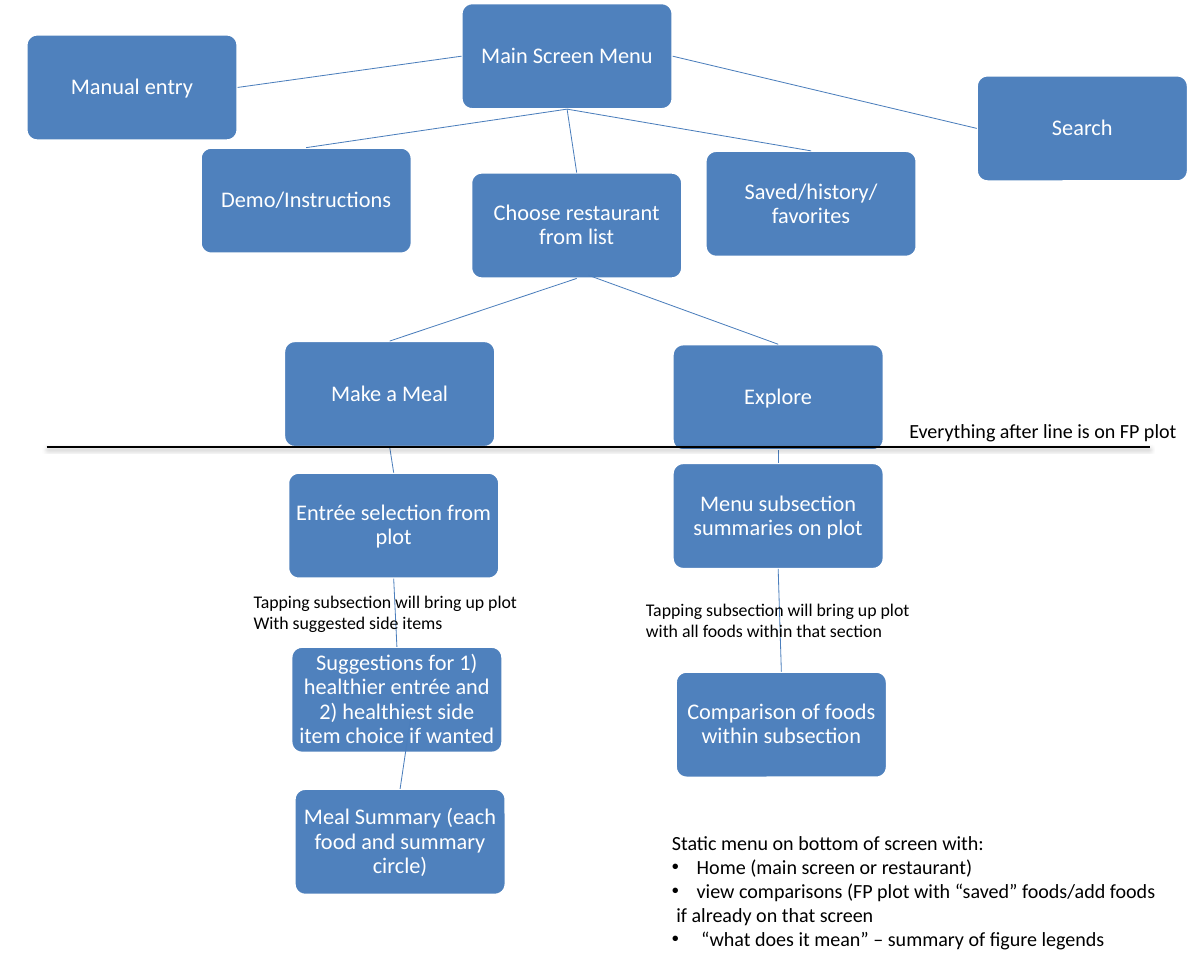
"""Builds the screen flow chart of a food app."""
from lxml import etree
from pptx import Presentation
from pptx.dml.color import RGBColor
from pptx.enum.shapes import MSO_CONNECTOR, MSO_SHAPE
from pptx.enum.text import MSO_ANCHOR, MSO_AUTO_SIZE, PP_ALIGN
from pptx.oxml.ns import qn
from pptx.util import Emu, Pt

ROUND = MSO_SHAPE.ROUNDED_RECTANGLE
STRAIGHT = MSO_CONNECTOR.STRAIGHT
MIDDLE, TOP = MSO_ANCHOR.MIDDLE, MSO_ANCHOR.TOP
CENTER, LEFT = PP_ALIGN.CENTER, PP_ALIGN.LEFT
NO_FIT = MSO_AUTO_SIZE.NONE
UP, WEST, DOWN, EAST = range(4)
SCALE = 9144
WIDTH, HEIGHT = 263, 132
BLUE, LINK, WHITE, BLACK = "4F81BD", "4B7EBC", "FFFFFF", "000000"

BOXES = {
    "main": (575, 4, "Main Screen Menu"),
    "demo": (250, 184, "Demo/Instructions"),
    "choose": (587, 215, "Choose restaurant from list"),
    "saved": (879, 188, "Saved/history/favorites"),
    "menu": (838, 577, "Menu subsection summaries on plot"),
    "make": (354, 425, "Make a Meal"),
    "explore": (838, 429, "Explore"),
    "compare": (842, 837, "Comparison of foods within subsection"),
    "entree": (359, 589, "Entrée selection from plot"),
    "suggest": (363, 806, "Suggestions for 1) healthier entrée and "
                          "2) healthiest side item choice if wanted"),
    "meal": (367, 983, "Meal Summary (each food and summary circle)"),
    "search": (1217, 94, "Search"),
    "manual": (33, 43, "Manual entry"),
}
LINKS = [
    ("choose", UP, "main", DOWN),
    ("demo", UP, "main", DOWN),
    ("saved", UP, "main", DOWN),
    ("search", WEST, "main", EAST),
    ("manual", EAST, "main", WEST),
    ("make", UP, "choose", DOWN),
    ("entree", UP, "make", DOWN),
    ("suggest", UP, "entree", DOWN),
    ("menu", UP, "explore", DOWN),
    ("compare", UP, "menu", DOWN),
]
LOOSE = [("explore", UP, 733, 343), ("meal", UP, 512, 892)]
NOTES = [
    (795, 741, 357, 64, 16, ["Tapping subsection will bring up plot",
                             "with all foods within that section"]),
    (306, 731, 352, 64, 16, ["Tapping subsection will bring up plot",
                             "With suggested side items"]),
    (1123, 516, 358, 40, 18, ["Everything after line is on FP plot"]),
]
STATIC = [
    (False, "Static menu on bottom of screen with:"),
    (True, "Home (main screen or restaurant)"),
    (True, "view comparisons (FP plot with “saved” foods/add foods"),
    (False, " if already on that screen"),
    (True, " “what does it mean” – summary of figure legends"),
]


def px(*nums):
    """Turn px lengths into EMU."""
    return [Emu(n * SCALE) for n in nums]


def rgb(code):
    """Turn a hex string into a colour."""
    return RGBColor.from_string(code)


def style(para, size, color):
    """Set the font of a whole paragraph."""
    para.font.name = "Calibri"
    para.font.size = Pt(size)
    para.font.color.rgb = rgb(color)


def add_box(slide, x, y, text):
    """Add one rounded screen box."""
    box = slide.shapes.add_shape(ROUND, *px(x, y, WIDTH, HEIGHT))
    box.adjustments[0] = 0.1
    box.shadow.inherit = False
    box.fill.solid()
    box.fill.fore_color.rgb = rgb(BLUE)
    box.line.color.rgb = rgb(WHITE)
    box.line.width = Pt(2)
    frame = box.text_frame
    frame.word_wrap = True
    frame.vertical_anchor = MIDDLE
    (frame.margin_left, frame.margin_top,
     frame.margin_right, frame.margin_bottom) = px(3, 3, 3, 3)
    para = frame.paragraphs[0]
    para.text = text
    para.alignment = CENTER
    para.line_spacing = 0.9
    style(para, 20, WHITE)
    return box


def add_line(slide, ends, color, width):
    """Add a straight line and return it with its empty effect list."""
    line = slide.shapes.add_connector(STRAIGHT, *px(*ends))
    line.line.color.rgb = rgb(color)
    line.line.width = Pt(width)
    effect = etree.SubElement(line._element.spPr, qn("a:effectLst"))
    return line, effect


def add_rule(slide):
    """Add the shadowed line that splits the chart."""
    effect = add_line(slide, (58, 557, 1433, 557), BLACK, 2)[1]
    shade = etree.SubElement(
        effect, qn("a:outerShdw"), blurRad=str(Pt(3.1)),
        dist=str(Pt(1.6)), dir="5400000", rotWithShape="0")
    tint = etree.SubElement(shade, qn("a:srgbClr"), val=BLACK)
    etree.SubElement(tint, qn("a:alpha"), val="38000")


def add_note(slide, x, y, w, h, size, lines):
    """Add a plain text note."""
    frame = slide.shapes.add_textbox(*px(x, y, w, h)).text_frame
    frame.word_wrap = False
    frame.text = "\n".join(lines)
    for para in frame.paragraphs:
        style(para, size, BLACK)


def fill_list(body):
    """Place and fill the list of the static menu."""
    body.left, body.top, body.width, body.height = px(827, 1030, 630, 162)
    frame = body.text_frame
    frame.word_wrap = False
    frame.auto_size = NO_FIT
    frame.vertical_anchor = TOP
    frame.text = "\n".join(text for _, text in STATIC)
    for para, (dot, _) in zip(frame.paragraphs, STATIC):
        para.alignment = LEFT
        para.space_before = Pt(0)
        props = para._p.get_or_add_pPr()
        indent = 31 * SCALE if dot else 0
        props.set("marL", str(indent))
        props.set("indent", str(-indent))
        if dot:
            etree.SubElement(props, qn("a:buFont"), typeface="Arial")
            etree.SubElement(props, qn("a:buChar"), char="•")
        else:
            etree.SubElement(props, qn("a:buNone"))
        style(para, 18, BLACK)


def main():
    """Build and save the slide."""
    deck = Presentation()
    deck.slide_width, deck.slide_height = px(1500, 1200)
    slide = deck.slides.add_slide(deck.slide_layouts[1])
    title = slide.shapes.title._element
    title.getparent().remove(title)
    fill_list(slide.placeholders[1])
    boxes = {key: add_box(slide, *spec) for key, spec in BOXES.items()}
    for start, side, end, face in LINKS:
        line = add_line(slide, (0, 0, 0, 0), LINK, 0.75)[0]
        line.begin_connect(boxes[start], side)
        line.end_connect(boxes[end], face)
    for start, side, x, y in LOOSE:
        line = add_line(slide, (x, y, x, y), LINK, 0.75)[0]
        line.begin_connect(boxes[start], side)
    add_rule(slide)
    for note in NOTES:
        add_note(slide, *note)
    deck.save("out.pptx")


if __name__ == "__main__":
    main()
